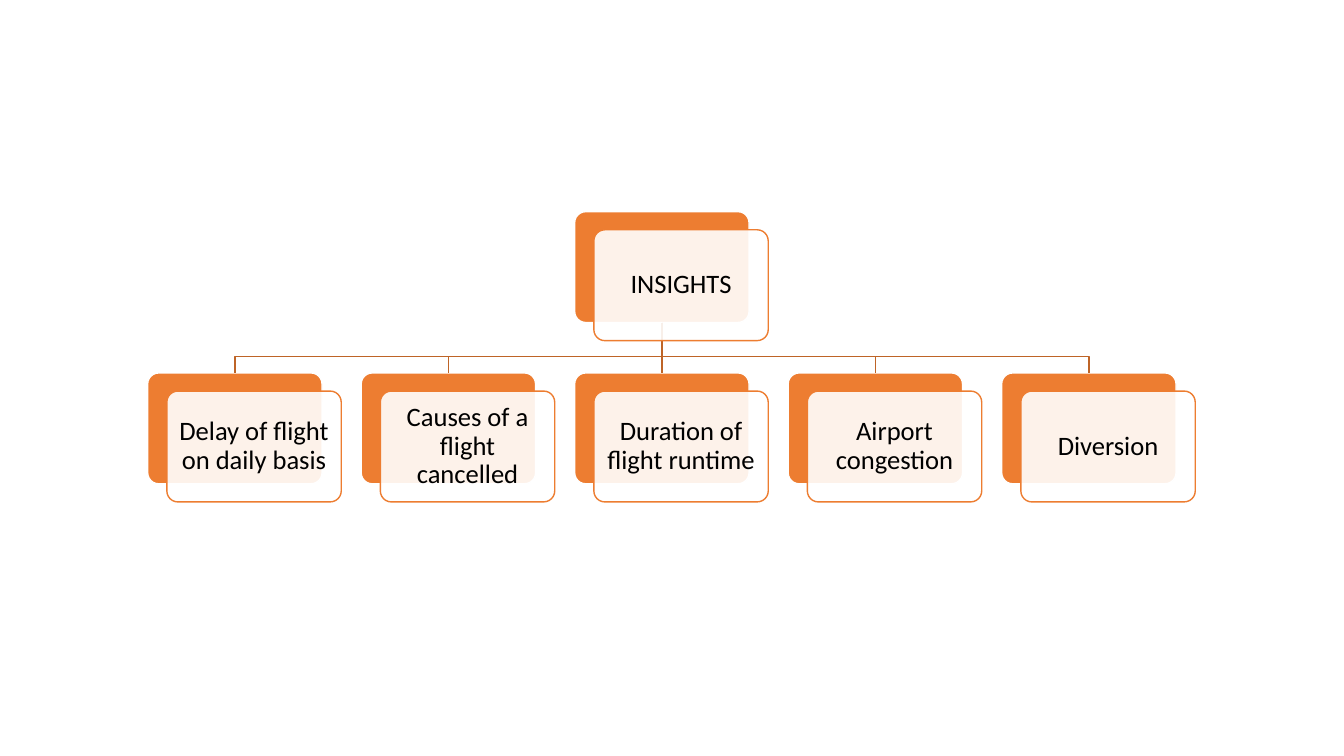
from lxml.etree import SubElement
from pptx import Presentation
from pptx.dml.color import RGBColor
from pptx.enum.shapes import MSO_CONNECTOR as Connector, MSO_SHAPE as Shape
from pptx.enum.text import MSO_ANCHOR as Anchor, PP_ALIGN as Align
from pptx.oxml.ns import qn
from pptx.util import Inches, Pt

ORANGE = RGBColor(0xED, 0x7D, 0x31)
RUST = RGBColor(0xBE, 0x64, 0x27)
WHITE = RGBColor(0xFF, 0xFF, 0xFF)
BLACK = RGBColor(0, 0, 0)

ROOT = "INSIGHTS"
BRANCHES = [
    "Delay of flight on daily basis",
    "Causes of a flight cancelled",
    "Duration of flight runtime",
    "Airport congestion",
    "Diversion",
]

# Grid: one column per branch, root row above branch row
GRID_LEFT, COLUMN_STEP = Inches(1.465), Inches(2.1175)
GRID_TOP, ROW_STEP = Inches(2.1), Inches(1.6)
CARD_W, CARD_H = Inches(1.73), Inches(1.1)
PANEL_DX, PANEL_DY = Inches(0.19), Inches(0.18)
BEND_SHARE = 0.68
MIDDLE = len(BRANCHES) // 2

INSET = Inches(0.08)
FRAME_FORMAT = {
    "word_wrap": True, "vertical_anchor": Anchor.MIDDLE,
    "margin_left": INSET, "margin_right": INSET,
    "margin_top": INSET, "margin_bottom": INSET,
}
PARAGRAPH_FORMAT = {"alignment": Align.CENTER, "line_spacing": 0.9}
FONT_FORMAT = {"name": "Calibri", "size": Pt(19)}


def apply_format(target, values):
    for name, value in values.items():
        setattr(target, name, value)


def style_line(line, color):
    line.color.rgb = color
    line.width = Pt(1)


def add_card(slide, column, row, fill, outline, dx=0, dy=0):
    card = slide.shapes.add_shape(
        Shape.ROUNDED_RECTANGLE,
        GRID_LEFT + column * COLUMN_STEP + dx, GRID_TOP + row * ROW_STEP + dy,
        CARD_W, CARD_H)
    card.adjustments[0] = 0.1
    card.shadow.inherit = False
    card.fill.solid()
    card.fill.fore_color.rgb = fill
    style_line(card.line, outline)
    return card


def add_panel(slide, column, row, label):
    panel = add_card(slide, column, row, WHITE, ORANGE, PANEL_DX, PANEL_DY)
    # 90 % opaque white lets the card behind show through
    fill_color = panel.fill._xPr.find(qn("a:solidFill"))[0]
    SubElement(fill_color, qn("a:alpha"), val="90000")
    frame = panel.text_frame
    apply_format(frame, FRAME_FORMAT)
    paragraph = frame.paragraphs[0]
    paragraph.text = label
    apply_format(paragraph, PARAGRAPH_FORMAT)
    apply_format(paragraph.font, FONT_FORMAT)
    paragraph.font.color.rgb = BLACK


def add_straight_link(slide, parent, child):
    link = slide.shapes.add_connector(Connector.STRAIGHT, 0, 0, 0, 0)
    link.begin_connect(parent, 2)
    link.end_connect(child, 0)
    style_line(link.line, RUST)
    SubElement(link._element.spPr, qn("a:effectLst"))


def add_bent_link(slide, parent, child):
    start_x, end_x = (card.left + card.width // 2 for card in (parent, child))
    start_y, end_y = parent.top + parent.height, child.top
    bend_y = start_y + round((end_y - start_y) * BEND_SHARE)
    builder = slide.shapes.build_freeform(start_x, start_y)
    builder.add_line_segments(
        [(start_x, bend_y), (end_x, bend_y), (end_x, end_y)], close=False)
    link = builder.convert_to_shape()
    link.shadow.inherit = False
    link.fill.background()
    style_line(link.line, RUST)


def main():
    prs = Presentation()
    prs.slide_width, prs.slide_height = Inches(13.33), Inches(7.5)
    slide = prs.slides.add_slide(prs.slide_layouts[6])

    # Orange cards at the back
    root = add_card(slide, MIDDLE, 0, ORANGE, WHITE)
    branches = [add_card(slide, column, 1, ORANGE, WHITE)
                for column in range(len(BRANCHES))]

    # Links from the root to every branch
    for column, branch in enumerate(branches):
        add_link = add_straight_link if column == MIDDLE else add_bent_link
        add_link(slide, root, branch)

    # Labelled panels in front
    add_panel(slide, MIDDLE, 0, ROOT)
    for column, label in enumerate(BRANCHES):
        add_panel(slide, column, 1, label)

    prs.save("out.pptx")


if __name__ == "__main__":
    main()
